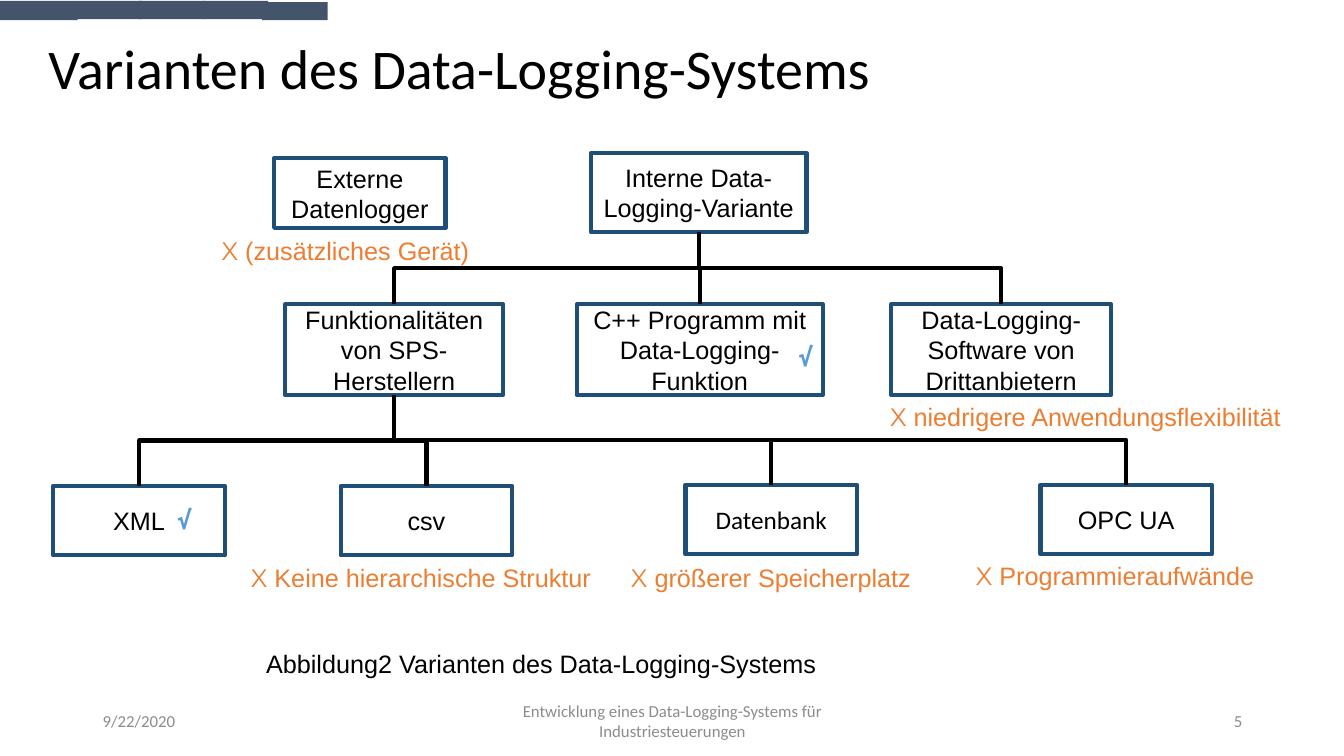
from lxml.etree import SubElement
from pptx import Presentation
from pptx.dml.color import RGBColor
from pptx.enum.shapes import MSO_CONNECTOR, MSO_SHAPE
from pptx.enum.text import MSO_ANCHOR as Anchor, MSO_AUTO_SIZE as AutoSize, PP_ALIGN as Align
from pptx.oxml.ns import qn
from pptx.util import Pt

PX = 9144  # 100 px per inch
SLIDE_SIZE = (1333, 750)
BLACK, GREY, ORANGE = "000000", "8C8C8C", "ED7D31"
NAVY, SKY, SLATE = "1F4E79", "5B9BD5", "44546A"
LINE_WIDTH = 3

TITLE = "Varianten des Data-Logging-Systems"
TITLE_BOX = (0, -2, 1150, 145)
TITLE_INDENT = 48
CAPTION = "Abbildung2 Varianten des Data-Logging-Systems"
CAPTION_BOX = (254, 623, 571, 56)

# name: (text, font, left, top, width, height)
BOXES = {
    "external": ("Externe Datenlogger", "Arial", 272, 157, 170, 69),
    "internal": ("Interne Data-Logging-Variante", "Arial", 586, 152, 214, 78),
    "plc": ("Funktionalitäten von SPS-Herstellern", "Arial", 283, 302, 216, 90),
    "cpp": ("C++ Programm mit Data-Logging-Funktion", "Arial", 572, 302, 244, 90),
    "third_party": ("Data-Logging-Software von Drittanbietern", "Arial", 884, 302, 218, 90),
    "xml": ("XML", "Arial", 53, 482, 170, 69),
    "csv": ("csv", "Arial", 338, 482, 170, 69),
    "database": ("Datenbank", "Calibri", 680, 481, 170, 69),
    "opc_ua": ("OPC UA", "Arial", 1032, 481, 170, 69),
}
BRANCHES = {
    "internal": ["plc", "cpp", "third_party"],
    "plc": ["xml", "csv", "database", "opc_ua"],
}
DRAWBACKS = [
    (" (zusätzliches Gerät)", 210, 229, 271),
    (" niedrigere Anwendungsflexibilität", 873, 393, 414),
    (" Keine hierarchische Struktur", 239, 553, 371),
    (" größerer Speicherplatz", 616, 553, 309),
    (" Programmieraufwände", 958, 551, 302),
]
CHECK_MARKS = [(166, 495), (782, 334)]
NOTE_HEIGHT = 40
FOOTERS = [
    ("9/22/2020", Align.LEFT, 92, 300),
    ("Entwicklung eines Data-Logging-Systems für Industriesteuerungen", Align.CENTER, 442, 450),
    ("5", Align.RIGHT, 942, 300),
]
FOOTER_TOP, FOOTER_HEIGHT = 695, 40
TOP_BARS = [(0, 1, 77, 19), (76, 1, 65, 18), (138, 1, 65, 18), (201, 1, 65, 18), (260, 2, 65, 18)]


def emu(box):
    return [value * PX for value in box]


def color(hex_string):
    return RGBColor.from_string(hex_string)


def add_run(paragraph, text, font, size, hex_string, bold=None):
    run = paragraph.add_run()
    run.text = text
    run.font.name, run.font.size, run.font.bold = font, Pt(size), bold
    run.font.color.rgb = color(hex_string)


def add_text(slide, box, runs, wrap=False, align=Align.LEFT, anchor=Anchor.TOP):
    """Add a text box whose runs are (text, font, size, colour[, bold])."""
    frame = slide.shapes.add_textbox(*emu(box)).text_frame
    frame.word_wrap, frame.vertical_anchor = wrap, anchor
    paragraph = frame.paragraphs[0]
    paragraph.alignment = align
    for run in runs:
        add_run(paragraph, *run)
    return paragraph


def add_rectangle(slide, box):
    shape = slide.shapes.add_shape(MSO_SHAPE.RECTANGLE, *emu(box))
    shape.shadow.inherit = False
    return shape


def add_variant(slide, text, font, *box):
    shape = add_rectangle(slide, box)
    shape.fill.background()
    shape.line.color.rgb = color(NAVY)
    shape.line.width = Pt(LINE_WIDTH)
    frame = shape.text_frame
    frame.word_wrap, frame.vertical_anchor = True, Anchor.MIDDLE
    frame.paragraphs[0].alignment = Align.CENTER
    add_run(frame.paragraphs[0], text, font, 18, BLACK)
    return shape


def add_branch(slide, parent, child):
    """Join parent bottom to child top with an elbow turned to run vertically."""
    start_x, start_y = parent.left + parent.width // 2, parent.top + parent.height
    end_x, end_y = child.left + child.width // 2, child.top
    connector = slide.shapes.add_connector(MSO_CONNECTOR.ELBOW, start_x, start_y, end_x, end_y)
    connector.begin_connect(parent, 2)
    connector.end_connect(child, 0)
    length, spread = end_y - start_y, abs(end_x - start_x)
    connector.left = (start_x + end_x - length) // 2
    connector.top = (start_y + end_y - spread) // 2
    connector.width, connector.height = length, spread
    properties = connector._element.spPr
    transform = properties.find(qn("a:xfrm"))
    goes_left = end_x < start_x
    transform.set("rot", str((90 if goes_left else 270) * 60000))
    transform.set("flipH", "0" if goes_left else "1")
    transform.set("flipV", "0")
    connector.line.color.rgb = color(BLACK)
    connector.line.width = Pt(LINE_WIDTH)
    SubElement(properties, qn("a:effectLst"))


def add_title(slide):
    title = slide.shapes.title
    title.left, title.top, title.width, title.height = emu(TITLE_BOX)
    frame = title.text_frame
    frame.margin_left = TITLE_INDENT * PX
    frame.word_wrap, frame.auto_size = True, AutoSize.NONE
    frame.vertical_anchor = Anchor.MIDDLE
    paragraph = frame.paragraphs[0]
    paragraph.alignment, paragraph.line_spacing = Align.LEFT, 0.9
    add_run(paragraph, TITLE, "Calibri", 40, BLACK)


def main():
    presentation = Presentation()
    presentation.slide_width, presentation.slide_height = emu(SLIDE_SIZE)
    slide = presentation.slides.add_slide(presentation.slide_layouts[5])
    add_title(slide)

    for bar in TOP_BARS:
        shape = add_rectangle(slide, bar)
        shape.fill.solid()
        shape.fill.fore_color.rgb = color(SLATE)
        shape.line.fill.background()

    variants = {name: add_variant(slide, *box) for name, box in BOXES.items()}
    for parent, children in BRANCHES.items():
        for child in children:
            add_branch(slide, variants[parent], variants[child])

    for text, left, top, width in DRAWBACKS:
        runs = [("X", "Montserrat", 18, ORANGE), (text, "Arial", 18, ORANGE)]
        add_text(slide, (left, top, width, NOTE_HEIGHT), runs)
    for left, top in CHECK_MARKS:
        add_text(slide, (left, top, 34, NOTE_HEIGHT), [("√", "DejaVu Sans Mono", 18, SKY, True)])

    caption = add_text(slide, CAPTION_BOX, [(CAPTION, "Arial", 18, BLACK)], align=Align.JUSTIFY)
    caption.line_spacing, caption.space_after = 1.5, Pt(8)

    for text, align, left, width in FOOTERS:
        add_text(slide, (left, FOOTER_TOP, width, FOOTER_HEIGHT), [(text, "Calibri", 12, GREY)],
                 wrap=True, align=align, anchor=Anchor.MIDDLE)

    presentation.save("out.pptx")


if __name__ == "__main__":
    main()
